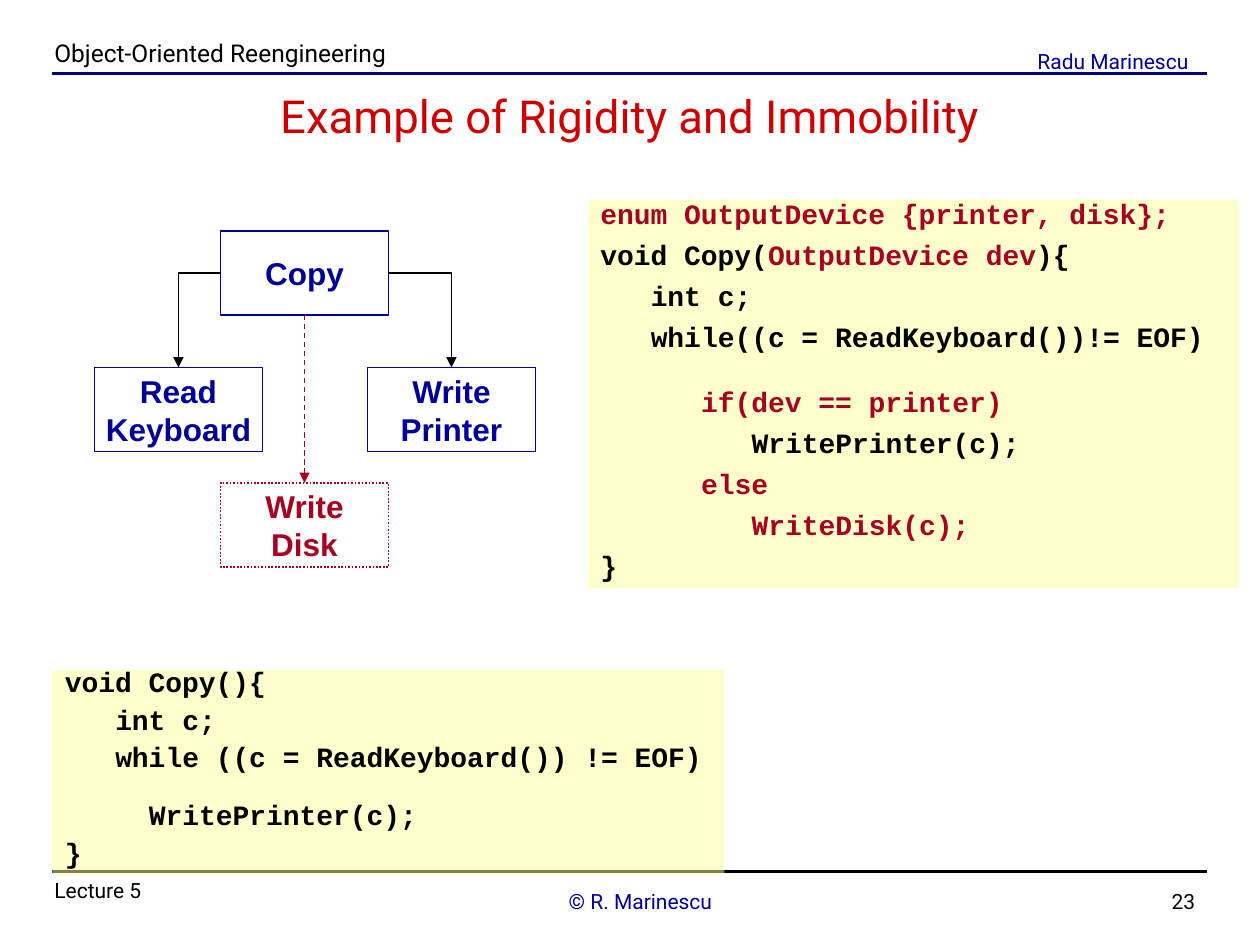
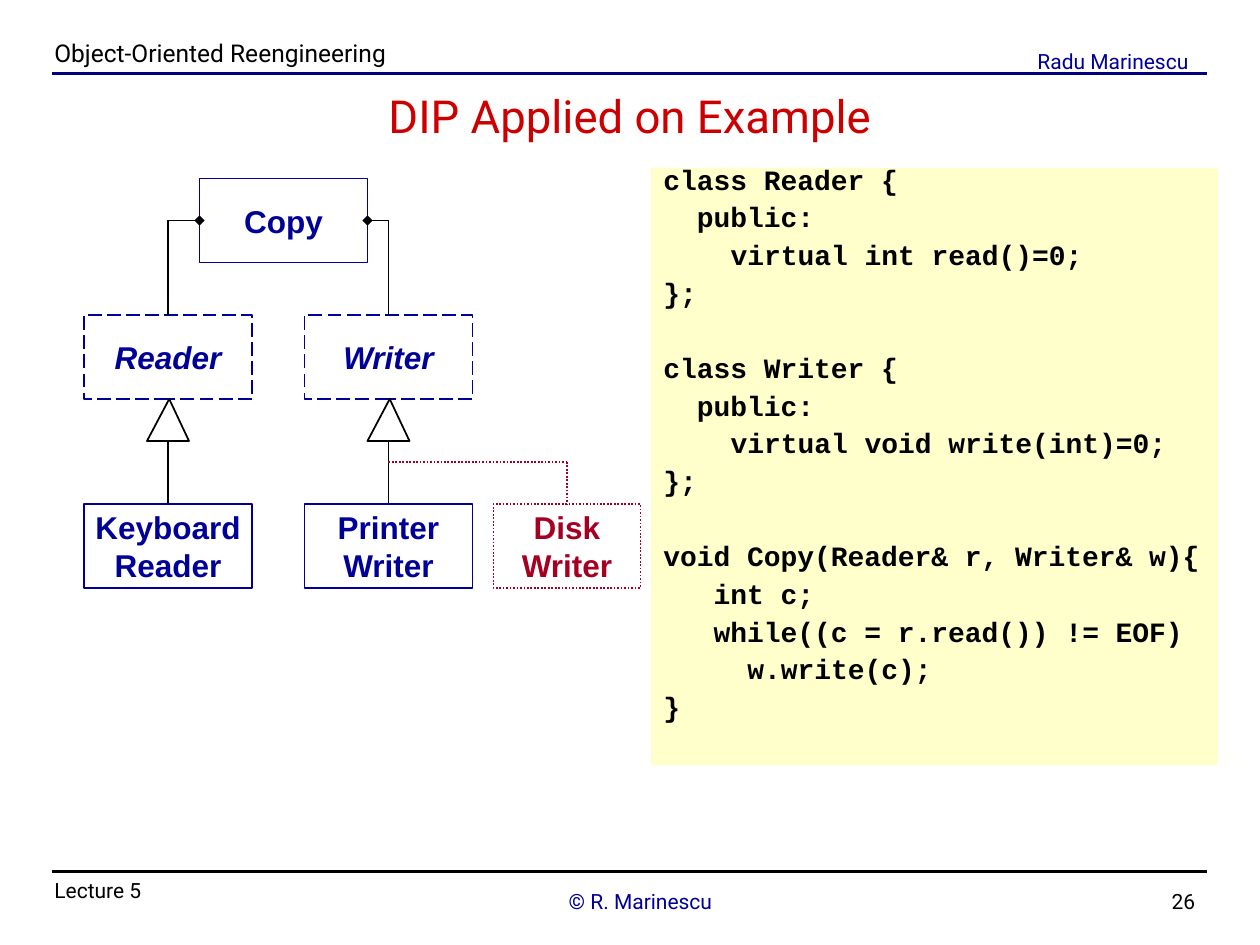
from itertools import cycle

from lxml import etree
from pptx import Presentation
from pptx.dml.color import RGBColor
from pptx.enum.dml import MSO_LINE
from pptx.enum.shapes import MSO_CONNECTOR, MSO_SHAPE
from pptx.enum.text import MSO_ANCHOR, PP_ALIGN
from pptx.oxml.ns import qn
from pptx.util import Pt

LEFT, CENTER, RIGHT = PP_ALIGN.LEFT, PP_ALIGN.CENTER, PP_ALIGN.RIGHT
TOP, MIDDLE = MSO_ANCHOR.TOP, MSO_ANCHOR.MIDDLE
RECTANGLE, TRIANGLE = MSO_SHAPE.RECTANGLE, MSO_SHAPE.ISOSCELES_TRIANGLE
STRAIGHT, ELBOW = MSO_CONNECTOR.STRAIGHT, MSO_CONNECTOR.ELBOW
DOTTED, DASHED, LONG_DASHED = MSO_LINE.ROUND_DOT, MSO_LINE.DASH, MSO_LINE.LONG_DASH

COLORS = {
    "black": "000000",
    "white": "FFFFFF",
    "navy": "000080",
    "blue": "000099",
    "title": "CC0000",
    "red": "A50021",
    "yellow": "FFFF99",
}
BODY_FONT, BOX_FONT, CODE_FONT = "Roboto", "Arial", "Courier New"
CODE_SIZE, CODE_SPACE, CHARACTER_WIDTH = 16, 10, 9.6
BOX_WIDTH, BOX_HEIGHT = 96, 48


def rgb(name):
    """Look up a palette colour."""
    return RGBColor.from_string(COLORS[name])


class Lecture:
    """Holds the deck, its style and the current slide."""

    def __init__(self):
        """Start a 10 by 7.5 inch deck."""
        self.deck = Presentation()
        self.deck.slide_width, self.deck.slide_height = Pt(720), Pt(540)
        self.shapes = None

    def page(self, title, number):
        """Add a slide with the shared rules, header, footer and title."""
        self.shapes = self.deck.slides.add_slide(self.deck.slide_layouts[6]).shapes
        self.line((30, 498), (690, 498), width=1.25)
        self.line((30, 42), (690, 42), "navy", 2)
        self.text(str(number), 540, 504, 150, 18, align=RIGHT)
        self.text("Object-Oriented Reengineering", 24, 18, 654, 18, size=14)
        self.text("© R. Marinescu", 210, 504, 312, 24, "blue", align=CENTER)
        self.text("Lecture 5", 24, 498, 132, 18)
        self.text("Radu Marinescu", 576, 24, 120, 12, "blue", align=CENTER)
        self.text(title, 30, 48, 660, 36, "title", 26, CENTER, MIDDLE)

    def style(self, para, font, size, color, bold=False, italic=False):
        """Set the font of a whole paragraph."""
        para.font.name, para.font.size = font, Pt(size)
        para.font.bold, para.font.italic = bold, italic
        para.font.color.rgb = rgb(color)

    def text(self, words, left, top, width, height, color="black", size=12,
             align=LEFT, anchor=TOP):
        """Add a one-paragraph text box."""
        frame = self.shapes.add_textbox(Pt(left), Pt(top), Pt(width), Pt(height)).text_frame
        frame.word_wrap, frame.vertical_anchor = True, anchor
        para = frame.paragraphs[0]
        para.text, para.alignment = words, align
        self.style(para, BODY_FONT, size, color)

    def shape(self, kind, left, top, width, height, fill=None, outline=None, dash=None):
        """Add a preset shape with optional fill and outline."""
        shape = self.shapes.add_shape(kind, Pt(left), Pt(top), Pt(width), Pt(height))
        shape.shadow.inherit = False
        if fill:
            shape.fill.solid()
            shape.fill.fore_color.rgb = rgb(fill)
        else:
            shape.fill.background()
        if outline:
            shape.line.color.rgb, shape.line.width = rgb(outline), Pt(1)
            shape.line.dash_style = dash
        else:
            shape.line.fill.background()
        return shape

    def box(self, words, left, top, color="blue", dash=None, italic=False, width=BOX_WIDTH):
        """Add a module box, with one centred paragraph per word."""
        box = self.shape(RECTANGLE, left, top, width, BOX_HEIGHT, outline=color, dash=dash)
        frame = box.text_frame
        frame.word_wrap, frame.vertical_anchor = False, MIDDLE
        for index, word in enumerate(words.split()):
            para = frame.add_paragraph() if index else frame.paragraphs[0]
            para.text, para.alignment = word, CENTER
            self.style(para, BOX_FONT, 18, color, True, italic)

    def line(self, start, end, color="black", width=0.75, dash=None, kind=STRAIGHT,
             head=None, tail=None):
        """Add a straight line, or an elbow running across and then down."""
        line = self.shapes.add_connector(kind, *map(Pt, start + end))
        line.line.color.rgb, line.line.width = rgb(color), Pt(width)
        line.line.dash_style = dash
        properties = line._element.spPr
        if kind == ELBOW:
            properties.find(qn("a:prstGeom")).set("prst", "bentConnector2")
        for tag, arrow in (("a:headEnd", head), ("a:tailEnd", tail)):
            if arrow:
                etree.SubElement(properties.find(qn("a:ln")), qn(tag), type=arrow)
        etree.SubElement(properties, qn("a:effectLst"))

    def inherit_arrow(self, x):
        """Add a hollow triangle with its stem, centred on x."""
        triangle = self.shape(TRIANGLE, x - 12, 228, 24, 24, "white", "black")
        triangle.adjustments[0] = 0.53
        self.line((x, 252), (x, 288))

    def code(self, left, top, width, height, spacing, gap, blocks):
        """Add a code panel; a line is its indent, then black and red spans in turn."""
        panel = self.shape(RECTANGLE, left, top, width, height, "yellow")
        color = panel.fill._xPr.find(".//" + qn("a:srgbClr"))
        etree.SubElement(color, qn("a:alpha"), val="50000")
        frame = panel.text_frame
        frame.word_wrap, frame.vertical_anchor = True, TOP
        para = None
        for block in blocks:
            for index, (indent, *spans) in enumerate(block):
                extra = gap if para is not None and index == 0 else 0
                para = frame.paragraphs[0] if para is None else frame.add_paragraph()
                para.alignment, para.line_spacing = LEFT, spacing
                para.space_before = Pt(CODE_SPACE + extra)
                para._p.get_or_add_pPr().set("marL", str(Pt(indent * CHARACTER_WIDTH)))
                self.style(para, CODE_FONT, CODE_SIZE, "black", True)
                for words, span_color in zip(spans, cycle(("black", "red"))):
                    if words:
                        span = para.add_run()
                        span.text = words
                        span.font.color.rgb = rgb(span_color)


def rigidity_slide(lecture):
    """Draw the copy program that depends on its devices."""
    lecture.page("Example of Rigidity and Immobility", 23)
    lecture.box("Copy", 126, 132)
    lecture.box("Read Keyboard", 54, 210)
    lecture.box("Write Printer", 210, 210)
    for start, end in ((126, 102), (222, 258)):
        lecture.line((start, 156), (end, 210), kind=ELBOW, tail="triangle")
    lecture.code(30, 383, 384, 116.6, 0.6, 11.5, [
        [(0, "void Copy(){"),
         (3, "int c;"),
         (3, "while ((c = ReadKeyboard()) != EOF)")],
        [(5, "WritePrinter(c);"),
         (0, "}")],
    ])
    lecture.box("Write Disk", 126, 276, "red", DOTTED)
    lecture.line((174, 180), (174, 276), "red", dash=DASHED, tail="triangle")
    lecture.code(336, 114, 372, 222, 0.7, 13.5, [
        [(0, "", "enum OutputDevice {printer, disk};"),
         (0, "void Copy(", "OutputDevice dev", "){"),
         (3, "int c;"),
         (3, "while((c = ReadKeyboard())!= EOF)")],
        [(6, "", "if(dev == printer)"),
         (9, "WritePrinter(c);"),
         (6, "", "else"),
         (9, "", "WriteDisk(c);"),
         (0, "}")],
    ])


def inversion_slide(lecture):
    """Draw the copy program that depends on abstractions."""
    lecture.page("DIP Applied on Example", 26)
    lecture.box("Copy", 114, 102)
    columns = (("Reader", "Keyboard Reader", 48, 114), ("Writer", "Printer Writer", 174, 210))
    for abstraction, detail, left, start in columns:
        middle = left + BOX_WIDTH / 2
        lecture.box(abstraction, left, 180, dash=LONG_DASHED, italic=True)
        lecture.line((start, 126), (middle, 180), kind=ELBOW, head="diamond")
        lecture.inherit_arrow(middle)
        lecture.box(detail, left, 288)
    lecture.box("Disk Writer", 282, 288, "red", DOTTED, width=84)
    for start, end in (((222, 264), (324, 264)), ((324, 264), (324, 288))):
        lecture.line(start, end, "red", 1, DOTTED)
    lecture.code(372, 96, 324, 341.3, 0.6, 21.5, [
        [(0, "class Reader {"),
         (2, "public:"),
         (4, "virtual int read()=0;"),
         (0, "};")],
        [(0, "class Writer {"),
         (2, "public:"),
         (4, "virtual void write(int)=0;"),
         (0, "};")],
        [(0, "void Copy(Reader& r, Writer& w){"),
         (3, "int c;"),
         (3, "while((c = r.read()) != EOF)"),
         (5, "w.write(c);"),
         (0, "}")],
    ])


lecture = Lecture()
rigidity_slide(lecture)
inversion_slide(lecture)
lecture.deck.save("out.pptx")
